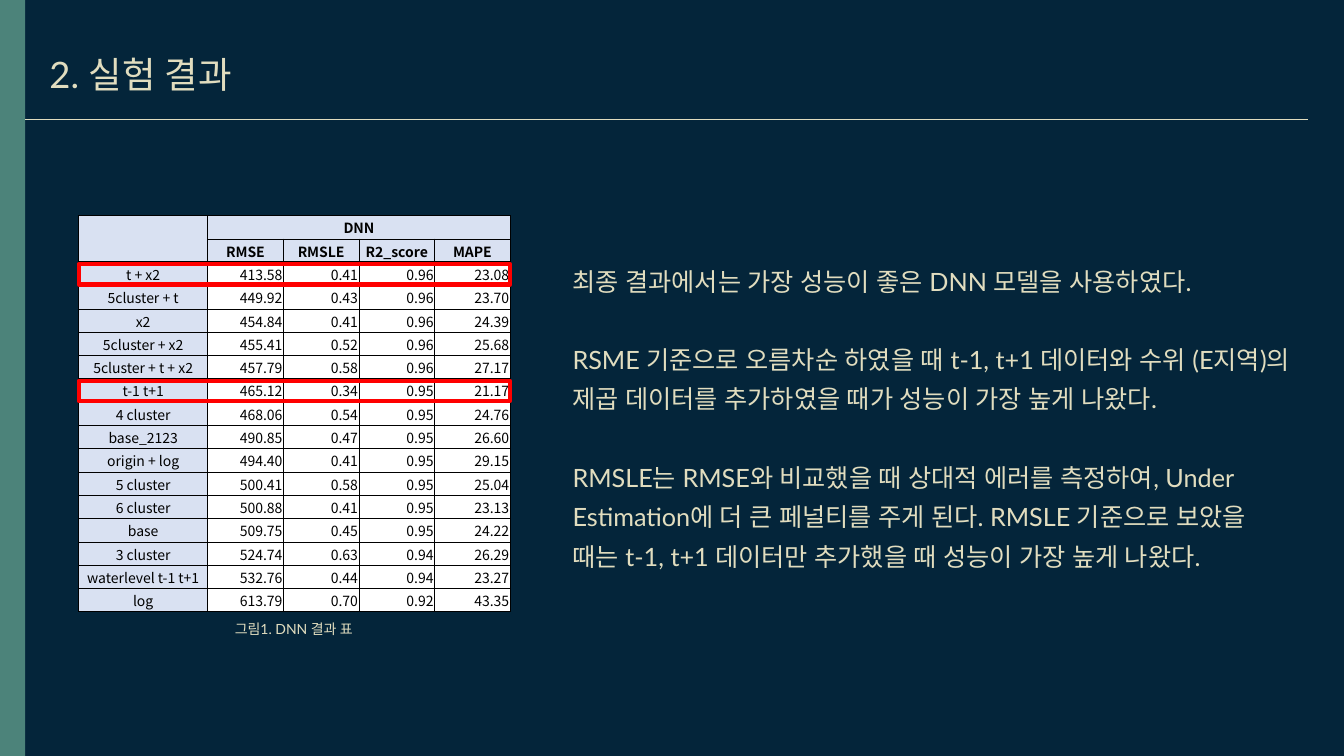
from lxml import etree
from pptx import Presentation
from pptx.dml.color import RGBColor
from pptx.enum.shapes import MSO_CONNECTOR, MSO_SHAPE
from pptx.enum.text import MSO_ANCHOR, MSO_AUTO_SIZE, PP_ALIGN
from pptx.oxml.ns import qn
from pptx.util import Inches, Pt

COLORS = {
    "background": "04253A", "accent": "4C837A", "text": "E1DDBF",
    "header": "D9E1F2", "cell": "FFFFFF", "ink": "000000", "highlight": "FF0000",
}
TEXT_FONT = "Lato"
TABLE_FONT = "Noto Sans CJK KR"

METRICS = ["RMSE", "RMSLE", "R2_score", "MAPE"]
RESULTS = [
    ("t + x2", "413.58", "0.41", "0.96", "23.08"),
    ("5cluster + t", "449.92", "0.43", "0.96", "23.70"),
    ("x2", "454.84", "0.41", "0.96", "24.39"),
    ("5cluster + x2", "455.41", "0.52", "0.96", "25.68"),
    ("5cluster + t + x2", "457.79", "0.58", "0.96", "27.17"),
    ("t-1 t+1", "465.12", "0.34", "0.95", "21.17"),
    ("4 cluster", "468.06", "0.54", "0.95", "24.76"),
    ("base_2123", "490.85", "0.47", "0.95", "26.60"),
    ("origin + log", "494.40", "0.41", "0.95", "29.15"),
    ("5 cluster", "500.41", "0.58", "0.95", "25.04"),
    ("6 cluster", "500.88", "0.41", "0.95", "23.13"),
    ("base", "509.75", "0.45", "0.95", "24.22"),
    ("3 cluster", "524.74", "0.63", "0.94", "26.29"),
    ("waterlevel t-1 t+1", "532.76", "0.44", "0.94", "23.27"),
    ("log", "613.79", "0.70", "0.92", "43.35"),
]
TABLE_ROWS = [("", "DNN", "", "", ""), ("", *METRICS), *RESULTS]
HEADER_ROWS = 2
BEST_ROWS = ["t + x2", "t-1 t+1"]

TABLE_LEFT, TABLE_TOP, TABLE_WIDTH, TABLE_HEIGHT = 0.78, 2.14, 4.28, 3.93
ROW_HEIGHT = TABLE_HEIGHT / len(TABLE_ROWS)
COLUMN_WIDTHS = [1.28, 0.75, 0.75, 0.75, 0.75]
# Border widths in points by grid line; every other line is thin.
THIN = 0.5
COLUMN_LINES = {0: 1, 1: 1, len(COLUMN_WIDTHS): 1}
ROW_LINES = {0: 1, HEADER_ROWS: 2, len(TABLE_ROWS): 1}

FINDINGS = [
    "최종 결과에서는 가장 성능이 좋은 DNN 모델을 사용하였다.",
    "RSME 기준으로 오름차순 하였을 때 t-1, t+1 데이터와 수위 (E지역)의 제곱 데이터를 "
    "추가하였을 때가 성능이 가장 높게 나왔다.",
    "RMSLE는 RMSE와 비교했을 때 상대적 에러를 측정하여, Under Estimation에 더 큰 "
    "페널티를 주게 된다. RMSLE 기준으로 보았을 때는 t-1, t+1 데이터만 추가했을 때 "
    "성능이 가장 높게 나왔다.",
]


def rgb(name):
    return RGBColor.from_string(COLORS[name])


def format_runs(p, size, color, font, bold=False):
    for r in p.runs:
        r.font.size = Pt(size)
        r.font.name = font
        r.font.bold = bold
        r.font.color.rgb = rgb(color)
        east_asian = etree.SubElement(r.font._element, qn("a:ea"))
        east_asian.set("typeface", font)


def add_title(s, text):
    title = s.shapes.title
    title.left, title.top = Inches(0.39), Inches(0.47)
    title.width, title.height = Inches(4.35), Inches(0.54)
    tf = title.text_frame
    tf.text = text
    tf.auto_size = MSO_AUTO_SIZE.NONE
    tf.vertical_anchor = MSO_ANCHOR.TOP
    p = tf.paragraphs[0]
    p.alignment = PP_ALIGN.LEFT
    format_runs(p, 26, "text", TEXT_FONT)


def add_text(s, left, top, width, height, paragraphs, size, align=PP_ALIGN.LEFT, gap=0):
    box = s.shapes.add_textbox(Inches(left), Inches(top), Inches(width), Inches(height))
    tf = box.text_frame
    tf.word_wrap = True
    for i, text in enumerate(paragraphs):
        p = tf.add_paragraph() if i else tf.paragraphs[0]
        p.text = text
        p.alignment = align
        p.line_spacing = 1.3
        if i:
            p.space_before = Pt(gap)
        format_runs(p, size, "text", TEXT_FONT)


def add_rect(s, left, top, width, height, fill=None, line=None):
    sp = s.shapes.add_shape(MSO_SHAPE.RECTANGLE, Inches(left), Inches(top),
                            Inches(width), Inches(height))
    sp.shadow.inherit = False
    if fill:
        sp.fill.solid()
        sp.fill.fore_color.rgb = rgb(fill)
    else:
        sp.fill.background()
    if line:
        sp.line.color.rgb = rgb(line)
        sp.line.width = Pt(3)
    else:
        sp.line.fill.background()


def add_rule(s, left, right, y):
    line = s.shapes.add_connector(MSO_CONNECTOR.STRAIGHT, Inches(left), Inches(y),
                                  Inches(right), Inches(y))
    line.line.color.rgb = rgb("text")
    line.line.width = Pt(0.5)
    etree.SubElement(line._element.spPr, qn("a:effectLst"))


def set_borders(cell, row, col):
    widths = {
        "a:lnL": COLUMN_LINES.get(col, THIN),
        "a:lnR": COLUMN_LINES.get(col + cell.span_width, THIN),
        "a:lnT": ROW_LINES.get(row, THIN),
        "a:lnB": ROW_LINES.get(row + cell.span_height, THIN),
    }
    tc_pr = cell._tc.get_or_add_tcPr()
    for i, (tag, width) in enumerate(widths.items()):
        border = etree.Element(qn(tag), w=str(Pt(width)))
        fill = etree.SubElement(border, qn("a:solidFill"))
        etree.SubElement(fill, qn("a:srgbClr"), val=COLORS["ink"])
        tc_pr.insert(i, border)


def fill_cell(cell, text, row, col):
    in_header = row < HEADER_ROWS
    cell.margin_left = cell.margin_right = cell.margin_top = Inches(0.01)
    cell.margin_bottom = 0
    cell.vertical_anchor = MSO_ANCHOR.MIDDLE
    cell.fill.solid()
    cell.fill.fore_color.rgb = rgb("header" if in_header or col == 0 else "cell")
    p = cell.text_frame.paragraphs[0]
    if text:
        p.text = text
        p.alignment = PP_ALIGN.CENTER if in_header or col == 0 else PP_ALIGN.RIGHT
        format_runs(p, 10, "ink", TABLE_FONT, bold=in_header)
    else:
        etree.SubElement(p._p, qn("a:endParaRPr"), sz="1000")
    if not cell.is_spanned:
        set_borders(cell, row, col)


def add_results_table(s):
    frame = s.shapes.add_table(len(TABLE_ROWS), len(COLUMN_WIDTHS), Inches(TABLE_LEFT),
                               Inches(TABLE_TOP), Inches(TABLE_WIDTH), Inches(TABLE_HEIGHT))
    table = frame.table
    table.first_row = table.horz_banding = False
    for column, width in zip(table.columns, COLUMN_WIDTHS):
        column.width = Inches(width)
    table.cell(0, 0).merge(table.cell(1, 0))
    table.cell(0, 1).merge(table.cell(0, len(METRICS)))
    for row, values in enumerate(TABLE_ROWS):
        table.rows[row].height = Inches(ROW_HEIGHT)
        for col, text in enumerate(values):
            fill_cell(table.cell(row, col), text, row, col)


def add_highlights(s):
    for row, values in enumerate(TABLE_ROWS):
        if values[0] in BEST_ROWS:
            add_rect(s, TABLE_LEFT, TABLE_TOP + row * ROW_HEIGHT + 0.02,
                     TABLE_WIDTH, 0.2, line="highlight")


def main():
    prs = Presentation()
    prs.slide_width, prs.slide_height = Inches(13.33), Inches(7.5)
    s = prs.slides.add_slide(prs.slide_layouts[5])
    s.background.fill.solid()
    s.background.fill.fore_color.rgb = rgb("background")

    add_rect(s, 0, 0, 0.25, 7.5, fill="accent")
    add_rule(s, 0.25, 12.97, 1.18)
    add_title(s, "2. 실험 결과")
    add_text(s, 1.08, 6.06, 3.67, 0.3, ["그림1. DNN 결과 표"], 10, PP_ALIGN.CENTER)
    add_text(s, 5.58, 2.5, 7.39, 3.21, FINDINGS, 18, gap=28)
    add_results_table(s)
    add_highlights(s)
    prs.save("out.pptx")


if __name__ == "__main__":
    main()
